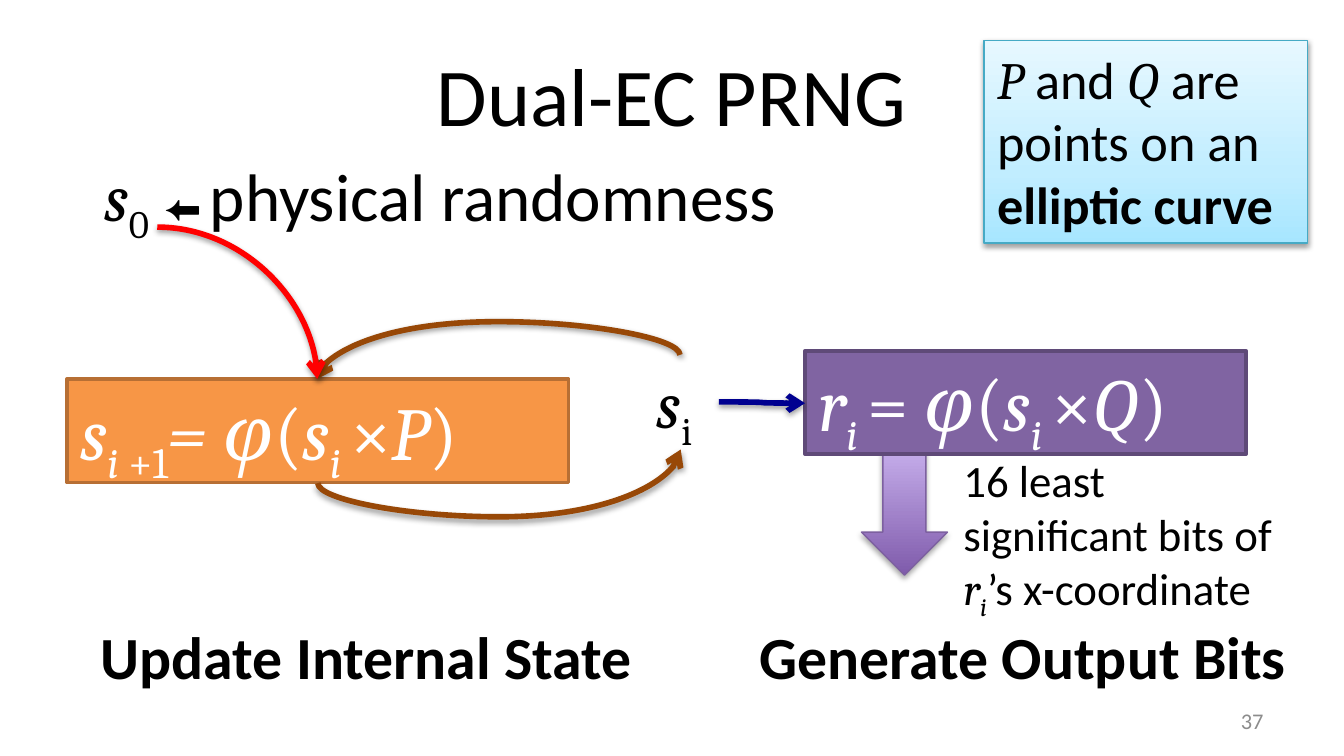
from dataclasses import dataclass
from typing import Optional

from lxml.etree import SubElement
from pptx import Presentation
from pptx.dml.color import RGBColor
from pptx.enum.shapes import MSO_CONNECTOR, MSO_SHAPE
from pptx.enum.text import MSO_ANCHOR, MSO_AUTO_SIZE, PP_ALIGN
from pptx.oxml.ns import qn
from pptx.util import Inches, Pt

BLACK, WHITE = "000000", "FFFFFF"
BROWN, RED, NAVY = "984807", "FF0000", "000090"


@dataclass
class Run:
    text: str
    font: str = "Calibri"
    italic: bool = False
    bold: bool = False
    sub: bool = False
    size: Optional[float] = None


@dataclass
class Label:
    box: tuple
    size: float
    runs: list
    color: str = BLACK
    align: PP_ALIGN = PP_ALIGN.LEFT
    anchor: MSO_ANCHOR = MSO_ANCHOR.TOP
    wrap: bool = False
    grow: bool = True


@dataclass
class Block:
    box: tuple
    fill: object  # one hex colour, or gradient stops from bottom to top
    line: str
    width: float
    preset: MSO_SHAPE = MSO_SHAPE.RECTANGLE
    shadow: Optional[float] = None  # opacity in percent
    label: Optional[Label] = None


@dataclass
class Arrow:
    """Connector ends before rotation, in inches."""
    begin: tuple
    end: tuple
    color: str
    rotation: int = 0
    adjust: Optional[float] = None
    preset: str = "curvedConnector3"


def var(text: str, **kw) -> Run:
    return Run(text, "Cambria", italic=True, **kw)


def sym(text: str, **kw) -> Run:
    return Run(text, "Cambria", **kw)


def rgb(color: str) -> RGBColor:
    return RGBColor.from_string(color)


def write(tf, label: Label) -> None:
    tf.word_wrap = label.wrap
    tf.auto_size = MSO_AUTO_SIZE.SHAPE_TO_FIT_TEXT if label.grow else MSO_AUTO_SIZE.NONE
    tf.vertical_anchor = label.anchor
    p = tf.paragraphs[0]
    p.alignment = label.align
    for run in label.runs:
        r = p.add_run()
        r.text = run.text
        f = r.font
        f.name, f.size = run.font, Pt(run.size or label.size)
        f.italic, f.bold = run.italic, run.bold
        f.color.rgb = rgb(label.color)
        if run.sub:
            r._r.get_or_add_rPr().set("baseline", "-25000")


def add_label(s, label: Label) -> None:
    write(s.shapes.add_textbox(*map(Inches, label.box)).text_frame, label)


def add_shadow(effects, opacity: float) -> None:
    shadow = SubElement(effects, qn("a:outerShdw"), blurRad=str(Pt(3.1)),
                        dist=str(Pt(1.6)), dir="5400000", rotWithShape="0")
    color = SubElement(shadow, qn("a:srgbClr"), val=BLACK)
    SubElement(color, qn("a:alpha"), val=str(int(opacity * 1000)))


def fill_gradient(sp, stops: list) -> None:
    sp.fill.gradient()
    sp.fill.gradient_angle = 90
    gs_list = sp._element.spPr.find(qn("a:gradFill")).find(qn("a:gsLst"))
    for gs in list(gs_list):
        gs_list.remove(gs)
    for pos, color in stops:
        gs = SubElement(gs_list, qn("a:gs"), pos=str(pos * 1000))
        SubElement(gs, qn("a:srgbClr"), val=color)


def add_block(s, block: Block) -> None:
    sp = s.shapes.add_shape(block.preset, *map(Inches, block.box))
    if isinstance(block.fill, str):
        sp.fill.solid()
        sp.fill.fore_color.rgb = rgb(block.fill)
    else:
        fill_gradient(sp, block.fill)
    sp.line.color.rgb = rgb(block.line)
    sp.line.width = Pt(block.width)
    sp.shadow.inherit = False
    if block.shadow:
        add_shadow(sp._element.spPr.find(qn("a:effectLst")), block.shadow)
    if block.label:
        write(sp.text_frame, block.label)


def add_arrow(s, arrow: Arrow) -> None:
    c = s.shapes.add_connector(MSO_CONNECTOR.CURVE,
                               *map(Inches, arrow.begin + arrow.end))
    c.line.color.rgb = rgb(arrow.color)
    c.line.width = Pt(3)
    sp_pr = c._element.spPr
    SubElement(sp_pr.find(qn("a:ln")), qn("a:tailEnd"), type="arrow")
    add_shadow(SubElement(sp_pr, qn("a:effectLst")), 38)
    if arrow.rotation:
        sp_pr.find(qn("a:xfrm")).set("rot", str(arrow.rotation * 60000))
    geom = sp_pr.find(qn("a:prstGeom"))
    geom.set("prst", arrow.preset)
    if arrow.adjust is not None:
        SubElement(geom.find(qn("a:avLst")), qn("a:gd"), name="adj1",
                   fmla=f"val {round(arrow.adjust * 100000)}")


def formula(left: list, point: str) -> Label:
    """White equation ending in φ(s_i × point)."""
    runs = left + [var("φ"), sym("("), var("s"), var("i ", sub=True),
                   sym("×"), var(point), sym(")")]
    return Label((), 40, runs, WHITE)


MIDDLE = MSO_ANCHOR.MIDDLE
CURVE_NOTE = Label((), 28, [var("P"), Run(" and "), var("Q"), Run(" are points on an "),
                            Run("elliptic curve", bold=True)], wrap=True)
LABELS = [
    Label((0.5, 0.23, 9, 0.94), 44, [Run("Dual-EC PRNG")], align=PP_ALIGN.CENTER,
          anchor=MIDDLE, wrap=True, grow=False),
    Label((7.17, 5.21, 2.33, 0.3), 12, [Run("37")], "8C8C8C", PP_ALIGN.RIGHT,
          MIDDLE, wrap=True, grow=False),
    Label((4.79, 2.64, 0.56, 0.71), 36, [var("s"), sym("i", sub=True)]),
    Label((0.68, 1.1, 5.43, 0.71), 36,
          [var("s"), sym("0", sub=True), sym(" "), Run("⬅", "Arial", size=20),
           sym(" ", sub=True), Run("physical randomness")]),
    Label((0.65, 4.56, 4.23, 0.64), 32, [Run("Update Internal State", bold=True)]),
    Label((5.55, 4.56, 4.18, 0.64), 32, [Run("Generate Output Bits", bold=True)]),
    Label((7.07, 3.32, 2.66, 1.31), 24,
          [Run("16 least significant bits of "), var("r"), var("i", sub=True),
           Run("’s x-coordinate")], wrap=True),
]
BLOCKS = [
    Block((0.5, 2.82, 3.73, 0.77), "F79646", "B76F34", 2,
          label=formula([var("s"), var("i ", sub=True), sym("+1", sub=True),
                         var("= ")], "P")),
    Block((7.32, 0.3, 2.41, 1.51), [(0, "A7E6FF"), (35, "C1EDFF"), (100, "E7F8FF")],
          "46AAC5", 0.75, shadow=38, label=CURVE_NOTE),
    Block((6.41, 3.31, 0.64, 0.97), [(0, "7F5BAB"), (100, "C8B0ED")],
          "7D60A0", 0.75, MSO_SHAPE.DOWN_ARROW, shadow=35),
    Block((5.99, 2.61, 3.28, 0.77), "8064A2", "5F4A78", 2,
          label=formula([var("r"), var("i ", sub=True), sym("= ")], "Q")),
]
ARROWS = [
    Arrow((3.8, 4.08), (3.62, 1.38), BROWN, 270, -1.376),
    Arrow((3.84, 4.82), (3.59, 2.12), BROWN, 90, -1.004),
    Arrow((1.17, 1.69), (2.36, 2.82), RED, preset="curvedConnector2"),
    Arrow((5.35, 2.99), (5.99, 3), NAVY, adjust=0.5),
]


def main() -> None:
    prs = Presentation()
    prs.slide_width = Inches(10)
    prs.slide_height = prs.slide_width * 9 // 16
    s = prs.slides.add_slide(prs.slide_layouts[6])
    for block in BLOCKS:
        add_block(s, block)
    for label in LABELS:
        add_label(s, label)
    for arrow in ARROWS:
        add_arrow(s, arrow)
    prs.save("out.pptx")


if __name__ == "__main__":
    main()
